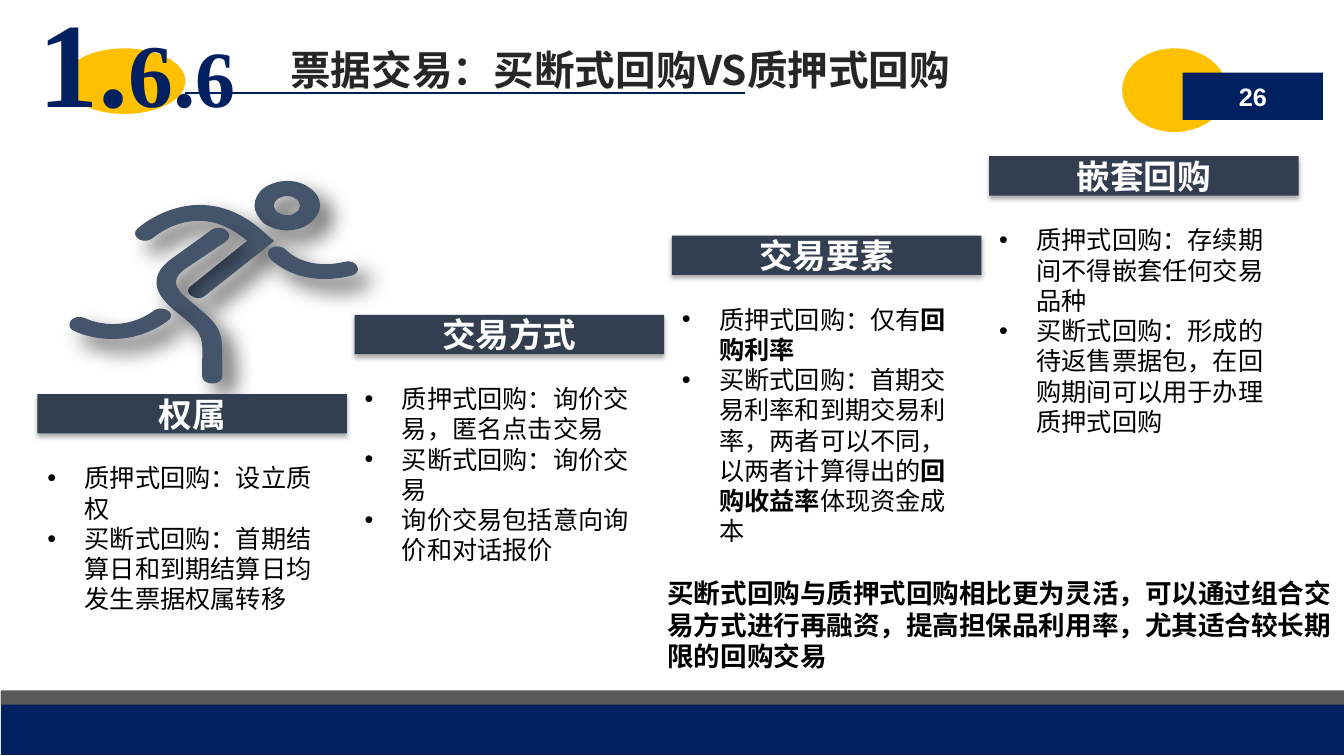
from lxml import etree
from pptx import Presentation
from pptx.dml.color import RGBColor
from pptx.enum.shapes import MSO_CONNECTOR, MSO_SHAPE
from pptx.enum.text import MSO_ANCHOR, MSO_AUTO_SIZE, PP_ALIGN
from pptx.oxml.ns import qn
from pptx.util import Inches, Pt

COLORS = {"navy": "002060", "gold": "FFC000", "gray": "595959", "slate": "333F50",
          "runner": "44546A", "title": "262626", "black": "000000", "white": "FFFFFF"}
CJK = "Noto Sans CJK SC"
BULLET_INDENT = 0.37

COLUMNS = [
    ("权属", [["质押式回购：设立质权"],
            ["买断式回购：首期结算日和到期结算日均发生票据权属转移"]]),
    ("交易方式", [["质押式回购：询价交易，匿名点击交易"],
              ["买断式回购：询价交易"],
              ["询价交易包括意向询价和对话报价"]]),
    ("交易要素", [["质押式回购：仅有", "回购利率"],
              ["买断式回购：首期交易利率和到期交易利率，两者可以不同，以两者计算得出的",
               "回购收益率", "体现资金成本"]]),
    ("嵌套回购", [["质押式回购：存续期间不得嵌套任何交易品种"],
              ["买断式回购：形成的待返售票据包，在回购期间可以用于办理质押式回购"]]),
]
CONCLUSION = ("买断式回购与质押式回购相比更为灵活，可以通过组合交易方式进行再融资，"
              "提高担保品利用率，尤其适合较长期限的回购交易")

HEAD = [
    [(217, 10), (226, 10, 234, 13, 239, 17), (245, 21, 249, 27, 249, 34),
     (249, 40, 245, 46, 239, 51), (234, 55, 226, 58, 217, 58),
     (208, 58, 200, 55, 194, 51), (189, 46, 185, 40, 185, 34),
     (185, 27, 189, 21, 194, 17), (200, 13, 208, 10, 217, 10)],
    [(226, 27), (224, 25, 221, 24, 217, 24), (213, 24, 210, 25, 207, 27),
     (205, 29, 203, 31, 203, 34), (203, 37, 205, 39, 207, 41),
     (210, 43, 213, 44, 217, 44), (221, 44, 224, 43, 226, 41),
     (229, 39, 230, 37, 230, 34), (230, 31, 229, 29, 226, 27)],
]
TORSO = [(83, 66), (79, 69, 74, 69, 70, 67), (66, 64, 65, 60, 69, 57),
         (69, 57, 132, 0, 198, 65), (203, 69), (197, 74), (135, 123),
         (132, 126, 126, 126, 122, 123), (118, 121, 118, 116, 122, 114),
         (178, 69), (128, 25, 83, 66, 83, 66)]
FRONT_LEG = [(143, 58), (147, 56, 153, 56, 156, 59), (160, 62, 160, 66, 156, 69),
             (119, 94), (111, 99, 106, 104, 106, 110), (106, 115, 110, 121, 120, 129),
             (152, 155, 152, 157, 152, 191), (152, 193, 152, 195, 152, 203),
             (152, 207, 148, 210, 143, 210), (137, 210, 133, 207, 133, 203),
             (133, 202, 133, 196, 133, 191), (134, 162, 134, 160, 106, 138),
             (93, 127, 87, 118, 88, 109), (88, 100, 95, 92, 107, 84), (143, 58)]
REAR_LEG = [(6, 158), (1, 156, 0, 152, 3, 148), (6, 145, 11, 144, 16, 146),
            (16, 146, 50, 164, 86, 138), (89, 136, 95, 136, 99, 139),
            (102, 141, 102, 146, 98, 148), (52, 181, 6, 158, 6, 158)]
ARM = [(200, 86), (197, 82, 198, 78, 202, 76), (206, 74, 212, 75, 215, 78),
       (215, 78, 234, 100, 275, 90), (279, 89, 285, 91, 286, 95),
       (288, 98, 285, 102, 280, 103), (227, 116, 200, 86, 200, 86)]
RUNNER = [HEAD, [TORSO], [FRONT_LEG], [REAR_LEG], [ARM]]


def rgb(name):
    return RGBColor.from_string(COLORS[name])


def paint(shape, color, outlined=False):
    shape.shadow.inherit = False
    shape.fill.solid()
    shape.fill.fore_color.rgb = rgb(color)
    if outlined:
        shape.line.color.rgb = rgb(color)
        shape.line.width = Pt(0.75)
    else:
        shape.line.fill.background()
    return shape


def add_block(slide, kind, box, color):
    return paint(slide.shapes.add_shape(kind, *map(Inches, box)), color)


def cast_shadow(shape, alpha, blur, distance, angle):
    effects = shape._element.spPr.find(qn("a:effectLst"))
    shadow = etree.SubElement(effects, qn("a:outerShdw"), blurRad=str(Pt(blur)),
                              dist=str(Pt(distance)), dir=str(angle * 60000),
                              algn="ctr", rotWithShape="0")
    color = etree.SubElement(shadow, qn("a:srgbClr"), val=COLORS["black"])
    etree.SubElement(color, qn("a:alpha"), val=str(alpha * 1000))


def add_run(paragraph, text, size, color, bold=True, font=CJK):
    run = paragraph.add_run()
    run.text = text
    run.font.size, run.font.bold, run.font.name = Pt(size), bold, font
    run.font.color.rgb = rgb(color)
    etree.SubElement(run._r.get_or_add_rPr(), qn("a:ea"), typeface=font)


def set_frame(shape, anchor=MSO_ANCHOR.TOP, insets=(0.1, 0.05, 0.1, 0.05)):
    frame = shape.text_frame
    frame.word_wrap = True
    frame.auto_size = MSO_AUTO_SIZE.NONE
    frame.vertical_anchor = anchor
    (frame.margin_left, frame.margin_top,
     frame.margin_right, frame.margin_bottom) = map(Inches, insets)
    return frame


def place(shape, box):
    shape.left, shape.top, shape.width, shape.height = map(Inches, box)


def add_label(shape, text, size, font=CJK):
    paragraph = set_frame(shape, MSO_ANCHOR.MIDDLE).paragraphs[0]
    paragraph.alignment = PP_ALIGN.CENTER
    add_run(paragraph, text, size, "white", font=font)


def build_header(slide, left, top):
    add_block(slide, MSO_SHAPE.OVAL, (left + 0.37, top + 0.48, 1.21, 0.65), "gold")
    rule = slide.shapes.add_connector(
        MSO_CONNECTOR.STRAIGHT, *map(Inches, (left + 1.58, top + 0.92, left + 7.13, top + 0.92)))
    rule.line.color.rgb = rgb("navy")
    rule.line.width = Pt(1.5)
    etree.SubElement(rule._element.spPr, qn("a:effectLst"))

    title = slide.shapes.title
    place(title, (left + 2.52, top + 0.4, 8.14, 0.89))
    slide.shapes._spTree.append(title._element)
    heading = set_frame(title).paragraphs[0]
    heading.alignment = PP_ALIGN.LEFT
    add_run(heading, "票据交易：买断式回购VS质押式回购", 29, "title")

    number = slide.shapes.add_textbox(*map(Inches, (left, top, 2.52, 1.41)))
    digits = set_frame(number, insets=(0.12, 0, 0.12, 0)).paragraphs[0]
    digits.line_spacing = 0.93
    for text, size in (("1.", 86), ("6.", 64), ("6", 57)):
        add_run(digits, text, size, "navy", font="Times New Roman")


def build_page_badge(slide, left, top):
    add_block(slide, MSO_SHAPE.OVAL, (left, top, 1.04, 0.83), "gold")
    badge = add_block(slide, MSO_SHAPE.RECTANGLE, (left + 0.6, top + 0.24, 1.39, 0.47), "navy")
    add_label(badge, "26", 18, "Arial")


def build_footer(slide, left, top, width):
    add_block(slide, MSO_SHAPE.RECTANGLE, (left, top + 0.01, width, 0.63), "navy")
    add_block(slide, MSO_SHAPE.RECTANGLE, (left, top, width, 0.14), "gray")


def pairs(segment):
    return list(zip(segment[::2], segment[1::2]))


def bend(shape, contours):
    lines = iter(list(shape._element.iter(qn("a:lnTo"))))
    for segment in (s for contour in contours for s in contour[1:]):
        line = next(lines)
        if len(segment) == 6:
            line.tag = qn("a:cubicBezTo")
            for _ in range(2):
                control = next(lines)
                line.append(control[0])
                control.getparent().remove(control)


def build_runner(slide, left, top):
    for contours in RUNNER:
        builder = slide.shapes.build_freeform(*contours[0][0], scale=Inches(0.01))
        for index, contour in enumerate(contours):
            if index:
                builder.move_to(*contour[0])
            builder.add_line_segments([p for s in contour[1:] for p in pairs(s)], close=True)
        part = builder.convert_to_shape(Inches(left), Inches(top))
        bend(part, contours)
        cast_shadow(paint(part, "runner", outlined=True), 60, 16, 12, 45)


def build_column(slide, body, left, top, heading, items):
    width = 3.07
    bar = add_block(slide, MSO_SHAPE.RECTANGLE, (left, top, width, 0.39), "slate")
    cast_shadow(bar, 32, 3.5, 2.2, 90)
    add_label(bar, heading, 24)
    place(body, (left, top + 0.63, width, 2.36))
    frame = set_frame(body, insets=(0.1, 0.05, 0.2, 0.05))
    for index, pieces in enumerate(items):
        paragraph = frame.add_paragraph() if index else frame.paragraphs[0]
        paragraph.alignment = PP_ALIGN.LEFT
        paragraph.space_before = paragraph.space_after = Pt(0)
        properties = paragraph._p.get_or_add_pPr()
        properties.set("marL", str(Inches(BULLET_INDENT)))
        properties.set("indent", str(-Inches(BULLET_INDENT)))
        etree.SubElement(properties, qn("a:buFont"), typeface="Arial")
        etree.SubElement(properties, qn("a:buChar"), char="•")
        for position, piece in enumerate(pieces):
            add_run(paragraph, piece, 18, "black", bold=position % 2 == 1)


def build_conclusion(slide, box):
    note = slide.shapes.add_textbox(*map(Inches, box))
    frame = set_frame(note, MSO_ANCHOR.MIDDLE, (0.12, 0.06, 0, 0.06))
    add_run(frame.paragraphs[0], CONCLUSION, 19, "black")


prs = Presentation()
prs.slide_width, prs.slide_height = Inches(13.33), Inches(7.5)
slide = prs.slides.add_slide(prs.slide_layouts.get_by_name("Comparison"))
bodies = [p for p in slide.placeholders if p.placeholder_format.idx > 0]
build_footer(slide, 0.01, 6.85, 13.32)
build_header(slide, 0.26, 0)
build_page_badge(slide, 11.13, 0.48)
build_runner(slide, 0.68, 1.7)
for step, (body, (heading, items)) in enumerate(zip(bodies, COLUMNS)):
    build_column(slide, body, 0.37 + 9.44 * step / 3, 3.91 - 2.36 * step / 3, heading, items)
build_conclusion(slide, (6.5, 5.88, 6.83, 0.63))
prs.save("out.pptx")
